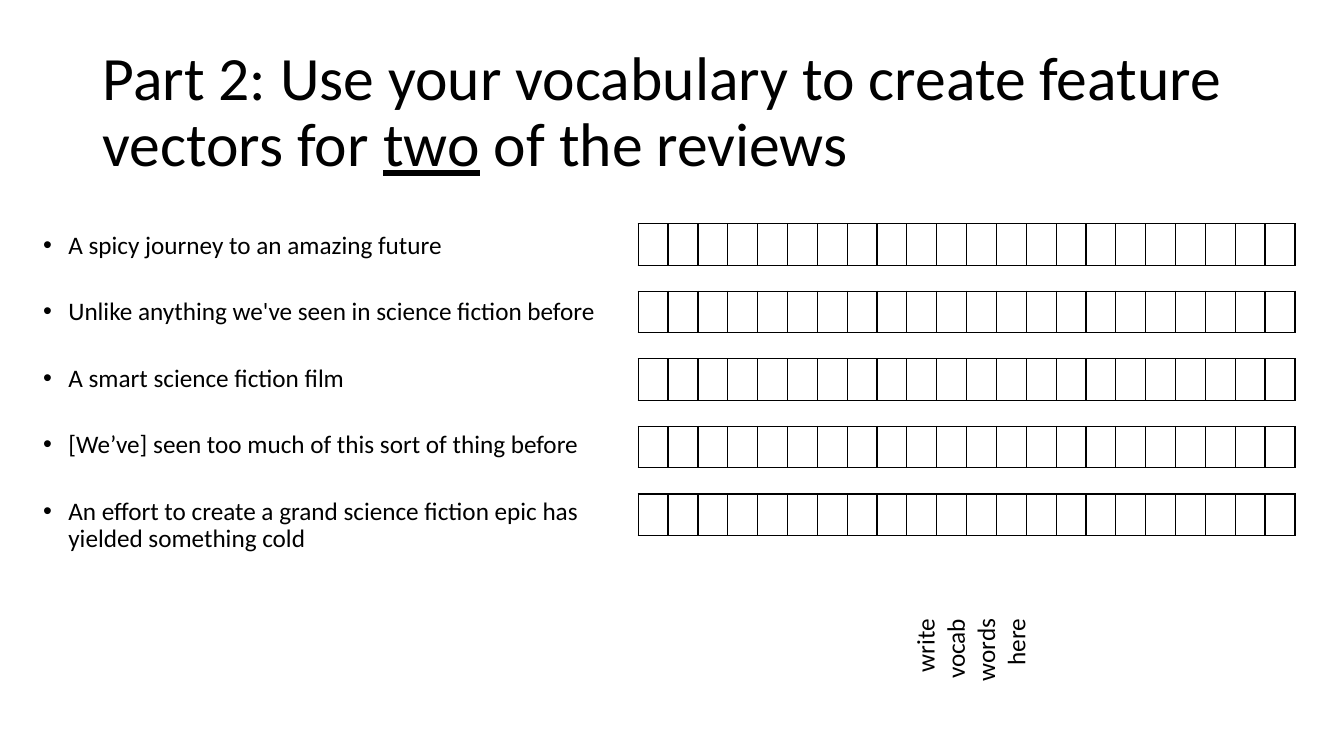
"""Build the slide on turning film reviews into feature vectors."""
from lxml import etree
from pptx import Presentation
from pptx import util as u
from pptx.dml.color import RGBColor
from pptx.enum import text
from pptx.oxml import ns

TITLE = [("Part 2: Use your vocabulary to create feature vectors for ", False),
         ("two", True), (" of the reviews", False)]
REVIEWS = ["A spicy journey to an amazing future",
           "Unlike anything we've seen in science fiction before",
           "A smart science fiction film",
           "[We’ve] seen too much of this sort of thing before",
           "An effort to create a grand science fiction epic has yielded something cold"]
HINT = ["write", "vocab", "words", "here"]
THEME = {"font": "Calibri", "ink": "000000", "title": 44, "body": 18, "border": 1}
VOCAB_SIZE = 22
VECTOR = {"left": 6.33, "top": 2.22, "width": 6.52, "height": 0.41, "pitch": 0.67}

deck = Presentation()
deck.slide_width, deck.slide_height = u.Inches(13.33), u.Inches(7.5)
slide = deck.slides.add_slide(deck.slide_layouts[6])


def add_frame(box, wrap=True):
    holder = slide.shapes.add_textbox(*map(u.Inches, box))
    holder.text_frame.word_wrap = wrap
    return holder, holder.text_frame


def paragraphs(frame, count):
    return [frame.paragraphs[0]] + [frame.add_paragraph() for _ in range(count - 1)]


def add_run(paragraph, words, size, underline=None):
    run = paragraph.add_run()
    run.text = words
    run.font.name, run.font.size = THEME["font"], u.Pt(size)
    run.font.color.rgb = RGBColor.from_string(THEME["ink"])
    run.font.underline = underline


def add_bullet(paragraph):
    props = paragraph._p.get_or_add_pPr()
    props.set("marL", str(u.Inches(0.25)))
    props.set("indent", str(-u.Inches(0.25)))
    etree.SubElement(props, ns.qn("a:buFont"), typeface="Arial")
    etree.SubElement(props, ns.qn("a:buChar"), char="•")


def add_borders(cell):
    props = cell._tc.get_or_add_tcPr()
    for place, side in enumerate(("lnL", "lnR", "lnT", "lnB")):
        line = etree.Element(ns.qn(f"a:{side}"), w=str(u.Pt(THEME["border"])))
        fill = etree.SubElement(line, ns.qn("a:solidFill"))
        etree.SubElement(fill, ns.qn("a:srgbClr"), val=THEME["ink"])
        props.insert(place, line)


def add_vector(row):
    top = VECTOR["top"] + row * VECTOR["pitch"]
    box = VECTOR["left"], top, VECTOR["width"], VECTOR["height"]
    vector = slide.shapes.add_table(1, VOCAB_SIZE, *map(u.Inches, box)).table
    vector.first_row = vector.horz_banding = False
    for cell in vector.iter_cells():
        cell.fill.background()
        add_borders(cell)


_, heading = add_frame((0.92, 0.4, 11.5, 1.45))
heading.vertical_anchor = text.MSO_ANCHOR.MIDDLE
heading.paragraphs[0].line_spacing = 0.9
for words, underlined in TITLE:
    add_run(heading.paragraphs[0], words, THEME["title"], underlined)

_, review_list = add_frame((0.33, 2.26, 5.83, 4.76))
for paragraph, review in zip(paragraphs(review_list, len(REVIEWS)), REVIEWS):
    paragraph.line_spacing = 0.9
    paragraph.space_before, paragraph.space_after = u.Pt(10), u.Pt(18)
    add_bullet(paragraph)
    add_run(paragraph, review, THEME["body"])

hint, hint_lines = add_frame((9.21, 5.8, 0.83, 1.31), wrap=False)
hint.rotation = 270
hint_lines.auto_size = text.MSO_AUTO_SIZE.SHAPE_TO_FIT_TEXT
for paragraph, word in zip(paragraphs(hint_lines, len(HINT)), HINT):
    paragraph.alignment = text.PP_ALIGN.RIGHT
    add_run(paragraph, word, THEME["body"])

for row in range(len(REVIEWS)):
    add_vector(row)

deck.save("out.pptx")
